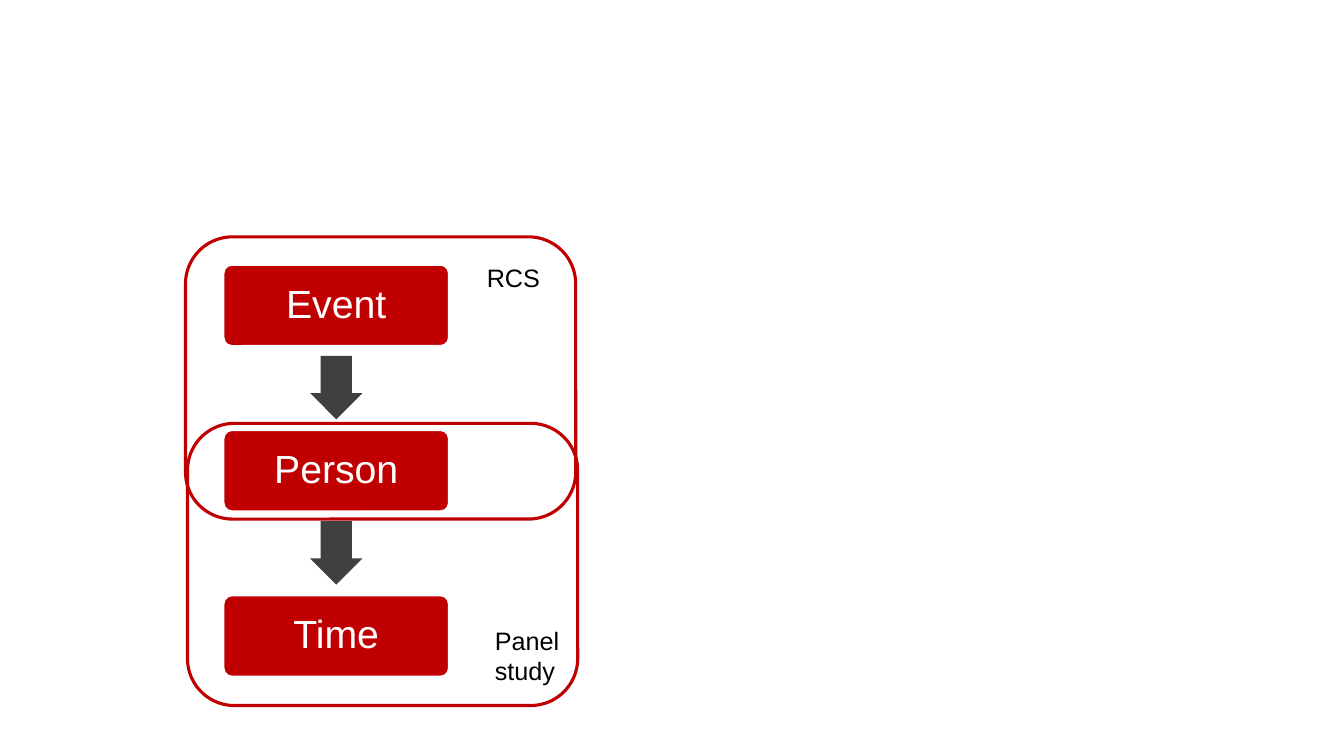
import pptx
import pptx.util
import pptx.dml.color
import pptx.enum.shapes
import pptx.enum.text

Inches, Pt = pptx.util.Inches, pptx.util.Pt
Kind = pptx.enum.shapes.MSO_SHAPE
Align, Anchor = pptx.enum.text.PP_ALIGN, pptx.enum.text.MSO_ANCHOR
RGBColor = pptx.dml.color.RGBColor
RED = RGBColor(0xC0, 0x00, 0x00)
GREY = RGBColor(0x40, 0x40, 0x40)
WHITE = RGBColor(0xFF, 0xFF, 0xFF)
BLACK = RGBColor(0x00, 0x00, 0x00)

deck = pptx.Presentation()
deck.slide_width, deck.slide_height = Inches(13.33), Inches(7.5)
slide = deck.slides.add_slide(deck.slide_layouts[6])


def write(shape, text, size=18, color=BLACK, align=Align.LEFT,
          anchor=Anchor.TOP, space=1.0):
    """Put formatted Arial text into a shape."""
    frame = shape.text_frame
    frame.word_wrap = True
    frame.vertical_anchor = anchor
    para = frame.paragraphs[0]
    para.alignment, para.line_spacing = align, space
    run = para.add_run()
    run.text = text
    run.font.name, run.font.size = "Arial", Pt(size)
    run.font.color.rgb = color


def draw(kind, left, top, width, height, fill=None, line=None, weight=1):
    """Add a preset shape with optional fill and outline."""
    shape = slide.shapes.add_shape(
        kind, Inches(left), Inches(top), Inches(width), Inches(height))
    shape.shadow.inherit = False
    for part, color in ((shape.fill, fill), (shape.line.fill, line)):
        if color is None:
            part.background()
        else:
            part.solid()
            part.fore_color.rgb = color
    if line is not None:
        shape.line.width = Pt(weight)
    return shape


# Levels, each leading down to the next
levels = ["Event", "Person", "Time"]
left, first, step = 2.22, 2.63, 1.64
wide, high = 2.23, 0.8
for i, level in enumerate(levels):
    top = first + i * step
    box = draw(Kind.ROUNDED_RECTANGLE, left, top, wide, high, RED, WHITE)
    box.adjustments[0] = 0.1
    write(box, level, size=28, color=WHITE, align=Align.CENTER,
          anchor=Anchor.MIDDLE, space=0.9)
    if i < len(levels) - 1:
        arrow = draw(Kind.DOWN_ARROW, left + (wide - 0.52) / 2, top + 0.9,
                     0.52, 0.63, GREY)
        arrow.adjustments[0], arrow.adjustments[1] = 0.6, 0.5

# Study designs, each framing two levels
designs = [
    ("Panel study", 1.86, 4.2, 4.81, 6.15, 0.71),
    ("RCS", 1.84, 2.35, 4.73, 2.55, 0.4),
]
for name, x, y, text_x, text_y, text_h in designs:
    draw(Kind.ROUNDED_RECTANGLE, x, y, 3.87, 2.8, line=RED, weight=2.25)
    label = slide.shapes.add_textbox(
        Inches(text_x), Inches(text_y), Inches(0.9), Inches(text_h))
    write(label, name)

deck.save("out.pptx")
